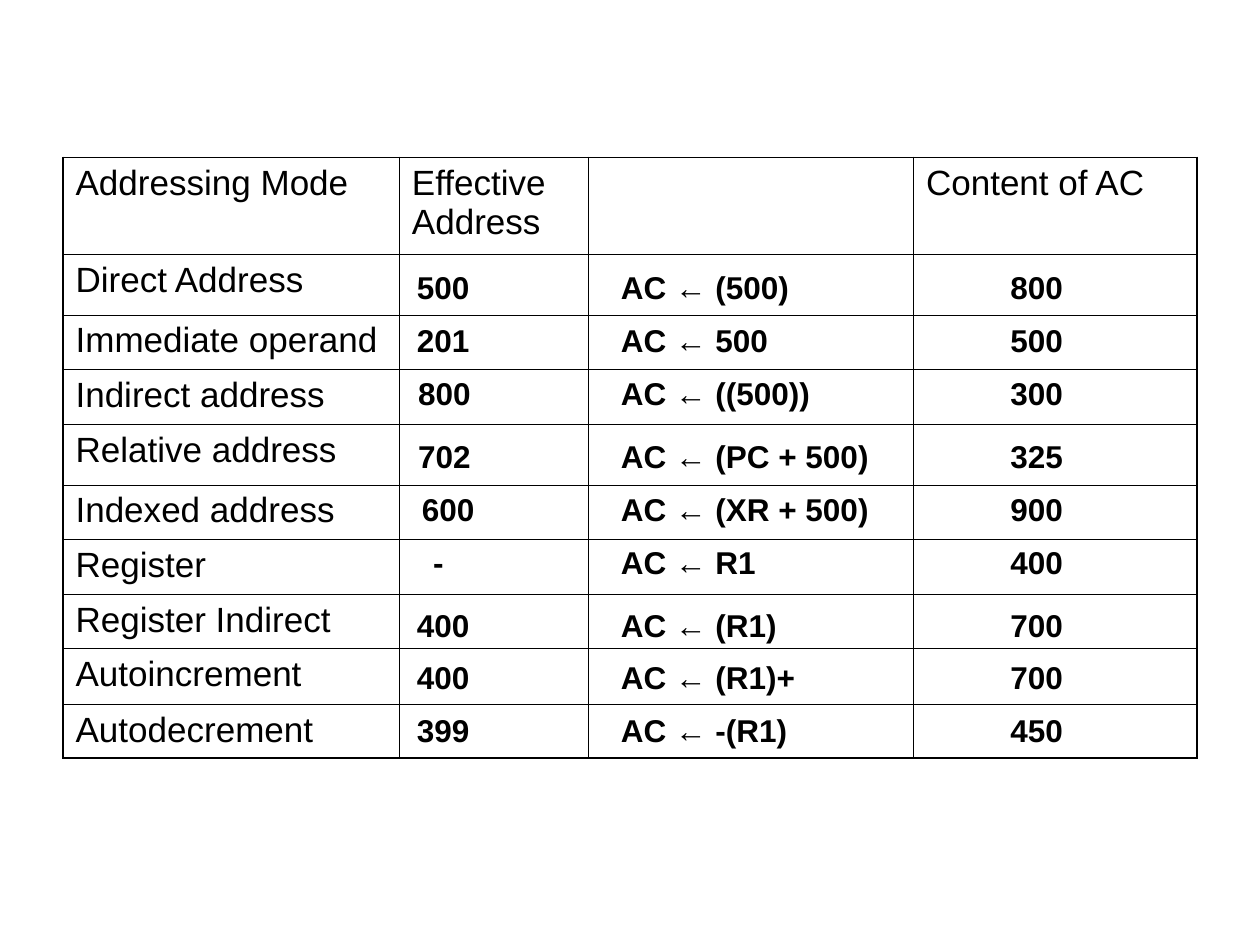
"""Build a slide with a table of addressing modes, effective addresses and accumulator contents."""
import pptx
import pptx.dml.color
import pptx.enum.text
import pptx.oxml
import pptx.oxml.ns
import pptx.util
from pptx.util import Inches

COLORS = {"text": "000000", "border": "000000"}
THIN, THICK = 0.45, 1.08


def style_paragraph(paragraph, size, bold):
    paragraph.font.name = "Arial"
    paragraph.font.size = pptx.util.Pt(size)
    paragraph.font.bold = bold
    paragraph.font.color.rgb = pptx.dml.color.RGBColor.from_string(COLORS["text"])


def set_borders(cell, widths):
    properties = cell._tc.get_or_add_tcPr()
    for position, (side, width) in enumerate(widths.items()):
        border = pptx.oxml.parse_xml(
            f'<a:ln{side} {pptx.oxml.ns.nsdecls("a")} w="{pptx.util.Pt(width)}">'
            f'<a:solidFill><a:srgbClr val="{COLORS["border"]}"/></a:solidFill></a:ln{side}>'
        )
        properties.insert(position, border)


presentation = pptx.Presentation()
presentation.slide_width = Inches(10)
presentation.slide_height = Inches(7.5)
slide = presentation.slides.add_slide(presentation.slide_layouts[6])

headings = ["Addressing Mode", "Effective Address", "", "Content of AC"]
column_widths = [2.67, 1.5, 2.58, 2.25]
row_heights = [0.77, 0.48, 0.43, 0.44, 0.48, 0.43, 0.44, 0.43, 0.44, 0.43]
modes = [
    ("Direct Address", 2.08, 3.21, "500", 1.55, "AC ← (500)", "800"),
    ("Immediate operand", 2.5, 3.21, "201", 1.45, "AC ← 500", "500"),
    ("Indirect address", 2.92, 3.22, "800", 1.72, "AC ← ((500))", "300"),
    ("Relative address", 3.42, 3.22, "702", 2.18, "AC ← (PC + 500)", "325"),
    ("Indexed address", 3.84, 3.25, "600", 2.18, "AC ← (XR + 500)", "900"),
    ("Register", 4.26, 3.34, "-", 1.29, "AC ← R1", "400"),
    ("Register Indirect", 4.76, 3.21, "400", 1.45, "AC ← (R1)", "700"),
    ("Autoincrement", 5.17, 3.21, "400", 1.6, "AC ← (R1)+", "700"),
    ("Autodecrement", 5.59, 3.21, "399", 1.54, "AC ← -(R1)", "450"),
]

rows = [headings] + [[mode[0], "", "", ""] for mode in modes]
last_row, last_column = len(rows) - 1, len(headings) - 1
table = slide.shapes.add_table(
    len(rows), len(headings), Inches(0.5), Inches(1.25), Inches(9), Inches(sum(row_heights))
).table
table.first_row = False
table.horz_banding = False
for column, width in zip(table.columns, column_widths):
    column.width = Inches(width)
for row, height in zip(table.rows, row_heights):
    row.height = Inches(height)

for row_index, texts in enumerate(rows):
    for column_index, text in enumerate(texts):
        cell = table.cell(row_index, column_index)
        cell.fill.background()
        set_borders(cell, {
            "L": THICK if column_index == 0 else THIN,
            "R": THICK if column_index == last_column else THIN,
            "T": THICK if row_index == 0 else THIN,
            "B": THICK if row_index == last_row else THIN,
        })
        if text:
            cell.text = text
            paragraph = cell.text_frame.paragraphs[0]
            paragraph.space_before = pptx.util.Pt(5)
            style_paragraph(paragraph, 20, False)

for mode, top, address_left, address, operation_width, operation, content in modes:
    address_width = 0.3 if address == "-" else 0.63
    for left, width, text in [
        (address_left, address_width, address),
        (4.83, operation_width, operation),
        (7.92, 0.63, content),
    ]:
        box = slide.shapes.add_textbox(Inches(left), Inches(top), Inches(width), Inches(0.4))
        box.text_frame.word_wrap = False
        box.text_frame.auto_size = pptx.enum.text.MSO_AUTO_SIZE.SHAPE_TO_FIT_TEXT
        box.text_frame.text = text
        style_paragraph(box.text_frame.paragraphs[0], 18, True)

presentation.save("out.pptx")
